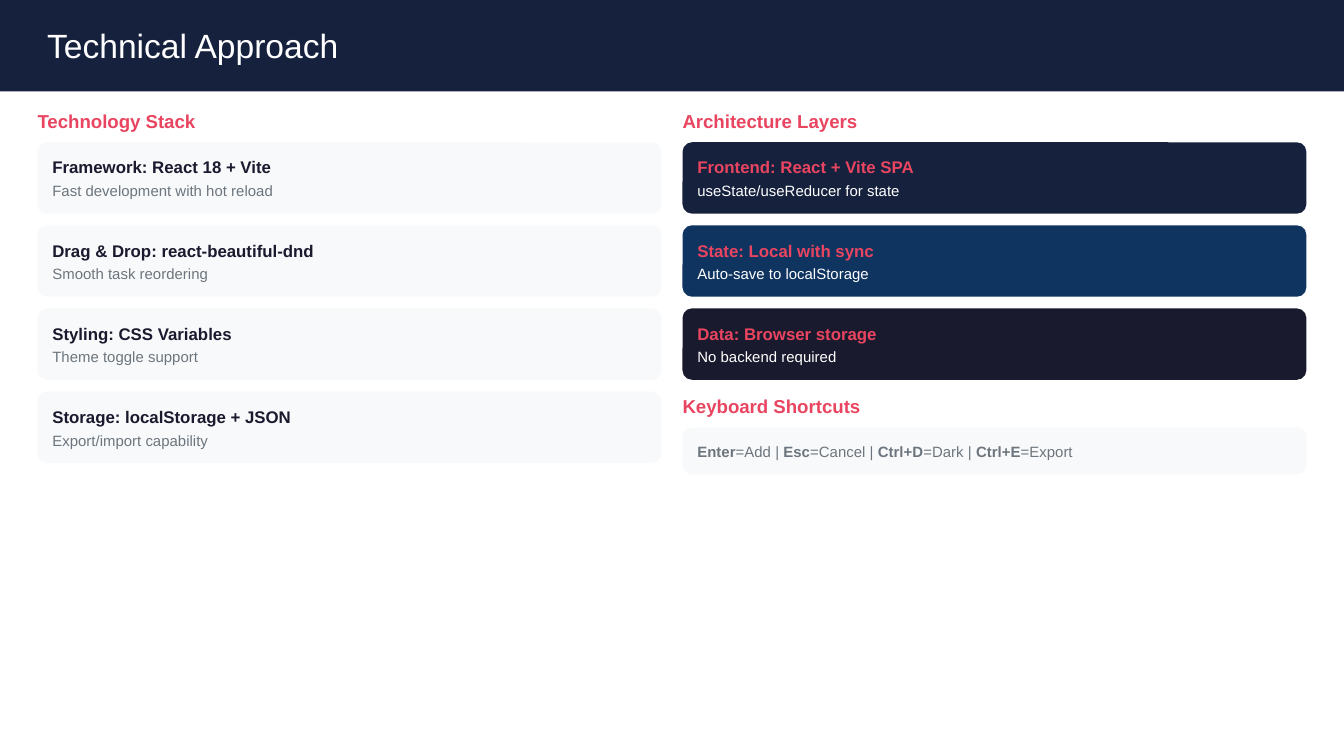
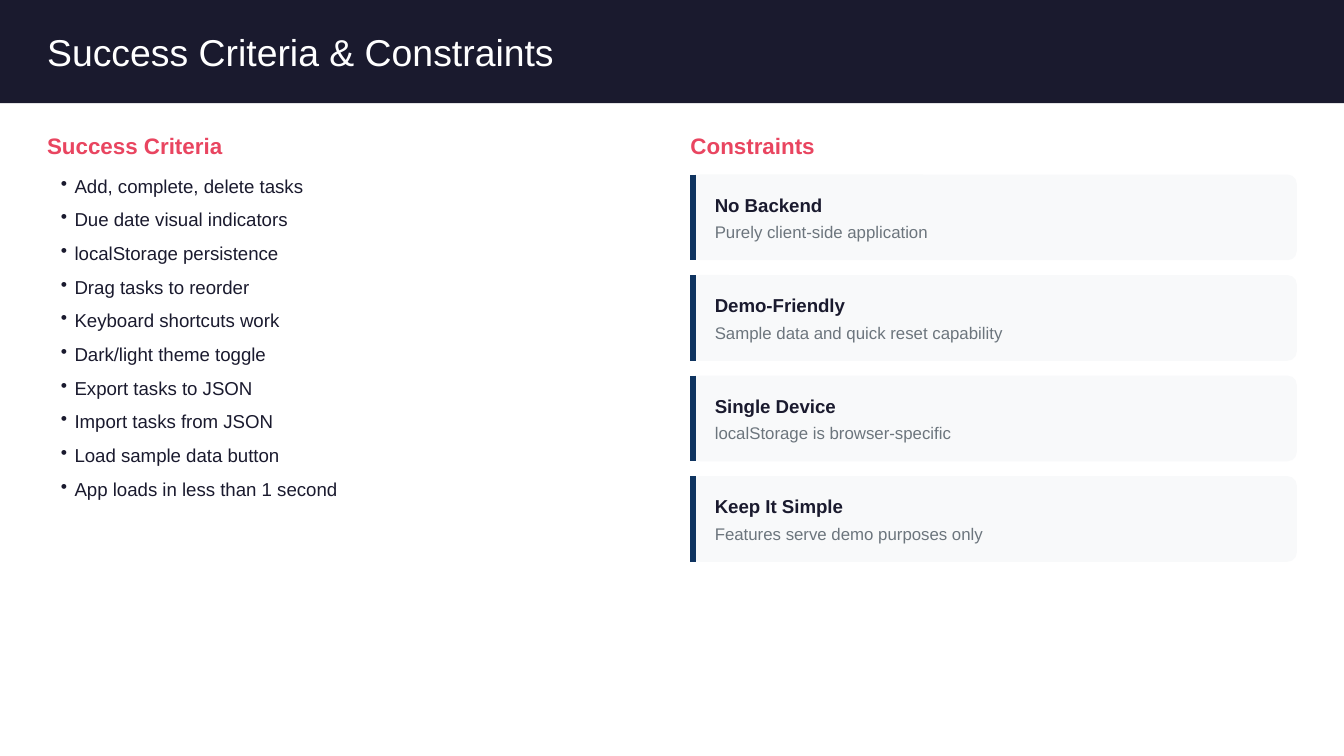
from dataclasses import dataclass

from lxml import etree
from pptx import Presentation
from pptx.dml.color import RGBColor
from pptx.enum import shapes, text
from pptx.oxml import ns
from pptx.util import Cm, Pt

FONT = "Arial"
NAVY = RGBColor(0x16, 0x21, 0x3E)
BLUE = RGBColor(0x0F, 0x34, 0x60)
INK = RGBColor(0x1A, 0x1A, 0x2E)
ACCENT = RGBColor(0xE9, 0x45, 0x60)
PALE = RGBColor(0xF8, 0xF9, 0xFA)
GREY = RGBColor(0x6C, 0x75, 0x7D)
WHITE = RGBColor(0xFF, 0xFF, 0xFF)

SLIDE_WIDTH = 25.4
SLIDE_HEIGHT = 14.29
TITLE_LEFT = 0.89
CORNER = 0.18

STACK = [
    ("Framework: React 18 + Vite", "Fast development with hot reload"),
    ("Drag & Drop: react-beautiful-dnd", "Smooth task reordering"),
    ("Styling: CSS Variables", "Theme toggle support"),
    ("Storage: localStorage + JSON", "Export/import capability"),
]
LAYERS = [
    ("Frontend: React + Vite SPA", "useState/useReducer for state"),
    ("State: Local with sync", "Auto-save to localStorage"),
    ("Data: Browser storage", "No backend required"),
]
LAYER_FILLS = [NAVY, BLUE, INK]
SHORTCUTS = [("Enter", "Add"), ("Esc", "Cancel"), ("Ctrl+D", "Dark"), ("Ctrl+E", "Export")]
CRITERIA = [
    "Add, complete, delete tasks",
    "Due date visual indicators",
    "localStorage persistence",
    "Drag tasks to reorder",
    "Keyboard shortcuts work",
    "Dark/light theme toggle",
    "Export tasks to JSON",
    "Import tasks from JSON",
    "Load sample data button",
    "App loads in less than 1 second",
]
CONSTRAINTS = [
    ("No Backend", "Purely client-side application"),
    ("Demo-Friendly", "Sample data and quick reset capability"),
    ("Single Device", "localStorage is browser-specific"),
    ("Keep It Simple", "Features serve demo purposes only"),
]


@dataclass
class CardStyle:
    """Card measures in cm, with text offsets from the card's corner; sizes in points."""
    width: float
    height: float
    pitch: float
    text_left: float
    text_width: float
    name_top: float
    detail_top: float
    name_size: int
    detail_size: int


STACK_CARD = CardStyle(11.79, 1.35, 1.57, 0.28, 11.46, 0.28, 0.75, 9, 8)
CONSTRAINT_CARD = CardStyle(11.46, 1.62, 1.9, 0.46, 10.87, 0.36, 0.89, 10, 9)


def style_font(font, size, color, bold=False):
    font.name = FONT
    font.size = Pt(size)
    font.color.rgb = color
    font.bold = bold


def clear_margins(frame):
    frame.word_wrap = True
    frame.margin_left = frame.margin_top = frame.margin_right = frame.margin_bottom = 0


def add_block(slide, kind, left, top, width, height, color):
    block = slide.shapes.add_shape(kind, Cm(left), Cm(top), Cm(width), Cm(height))
    block.shadow.inherit = False
    block.fill.solid()
    block.fill.fore_color.rgb = color
    block.line.fill.background()
    return block


def add_panel(slide, left, top, width, height, color):
    """Add a card background with the same corner radius at any size."""
    panel = add_block(slide, shapes.MSO_SHAPE.ROUNDED_RECTANGLE, left, top, width, height, color)
    panel.adjustments[0] = CORNER / min(width, height)


def add_text_box(slide, left, top, width, height):
    frame = slide.shapes.add_textbox(Cm(left), Cm(top), Cm(width), Cm(height)).text_frame
    clear_margins(frame)
    return frame


def add_label(slide, words, left, top, width, size, color, bold=False):
    frame = add_text_box(slide, left, top, width, size * 0.041)
    para = frame.paragraphs[0]
    para.text = words
    style_font(para.font, size, color, bold)


def add_titled_slide(deck, words, band_color, band_height, title_top, size):
    slide = deck.slides.add_slide(deck.slide_layouts[5])
    title = slide.shapes.title
    band = add_block(slide, shapes.MSO_SHAPE.RECTANGLE, 0, 0, SLIDE_WIDTH, band_height, band_color)
    title.element.addprevious(band.element)
    title.left, title.top = Cm(TITLE_LEFT), Cm(title_top)
    title.width, title.height = Cm(24.08), Cm(size * 0.041)
    frame = title.text_frame
    clear_margins(frame)
    frame.auto_size = text.MSO_AUTO_SIZE.NONE
    frame.vertical_anchor = text.MSO_ANCHOR.TOP
    para = frame.paragraphs[0]
    para.text = words
    para.alignment = text.PP_ALIGN.LEFT
    style_font(para.font, size, WHITE)
    return slide


def add_rule(slide, left, top, height):
    rule = slide.shapes.add_connector(
        shapes.MSO_CONNECTOR.STRAIGHT, Cm(left), Cm(top), Cm(left), Cm(top + height))
    rule.line.color.rgb = BLUE
    rule.line.width = Pt(3)
    etree.SubElement(rule.element.spPr, ns.qn("a:effectLst"))


def add_cards(slide, cards, style, left, top, fills=None, ruled=False):
    """Stack cards downwards; cards with their own fills get light text."""
    name_color, detail_color = (ACCENT, WHITE) if fills else (INK, GREY)
    for index, (name, detail) in enumerate(cards):
        card_top = top + index * style.pitch
        fill = fills[index] if fills else PALE
        add_panel(slide, left, card_top, style.width, style.height, fill)
        if ruled:
            add_rule(slide, left + 0.05, card_top, style.height)
        text_left = left + style.text_left
        add_label(slide, name, text_left, card_top + style.name_top,
                  style.text_width, style.name_size, name_color, bold=True)
        add_label(slide, detail, text_left, card_top + style.detail_top,
                  style.text_width, style.detail_size, detail_color)


def add_shortcuts(slide, left, top):
    add_panel(slide, left, top, STACK_CARD.width, 0.89, PALE)
    frame = add_text_box(slide, left + STACK_CARD.text_left, top + 0.28, STACK_CARD.text_width, 0.3)
    para = frame.paragraphs[0]
    for index, (key, action) in enumerate(SHORTCUTS):
        separator = " | " if index < len(SHORTCUTS) - 1 else ""
        for words, bold in ((key, True), (f"={action}{separator}", False)):
            span = para.add_run()
            span.text = words
            style_font(span.font, 8, GREY, bold)


def add_bullets(slide, items, left, top, width, height):
    frame = add_text_box(slide, left, top, width, height)
    frame.margin_left = Cm(0.26)
    for index, item in enumerate(items):
        para = frame.add_paragraph() if index else frame.paragraphs[0]
        para.text = item
        para.space_after = Pt(6)
        style_font(para.font, 10, INK)
        properties = para._p.get_or_add_pPr()
        properties.set("marL", str(Cm(0.26)))
        properties.set("indent", str(-Cm(0.26)))
        bullet = etree.Element(ns.qn("a:buChar"), char="•")
        properties.find(ns.qn("a:defRPr")).addprevious(bullet)


def build_approach(deck):
    slide = add_titled_slide(deck, "Technical Approach", NAVY, 1.73, 0.48, 18)
    left, right = 0.71, 12.9
    for words, column, top in (
        ("Technology Stack", left, 2.08),
        ("Architecture Layers", right, 2.08),
        ("Keyboard Shortcuts", right, 7.47),
    ):
        add_label(slide, words, column, top, 12.01, 10, ACCENT, bold=True)
    add_cards(slide, STACK, STACK_CARD, left, 2.69)
    add_cards(slide, LAYERS, STACK_CARD, right, 2.69, fills=LAYER_FILLS)
    add_shortcuts(slide, right, 8.08)


def build_criteria(deck):
    slide = add_titled_slide(deck, "Success Criteria & Constraints", INK, 1.95, 0.56, 20)
    left, right = TITLE_LEFT, 13.05
    for words, column in (("Success Criteria", left), ("Constraints", right)):
        add_label(slide, words, column, 2.49, 11.68, 12, ACCENT, bold=True)
    add_bullets(slide, CRITERIA, left, 3.3, 11.46, 5.87)
    add_cards(slide, CONSTRAINTS, CONSTRAINT_CARD, right, 3.3, ruled=True)


def main():
    deck = Presentation()
    deck.slide_width = Cm(SLIDE_WIDTH)
    deck.slide_height = Cm(SLIDE_HEIGHT)
    build_approach(deck)
    build_criteria(deck)
    deck.save("out.pptx")


if __name__ == "__main__":
    main()
